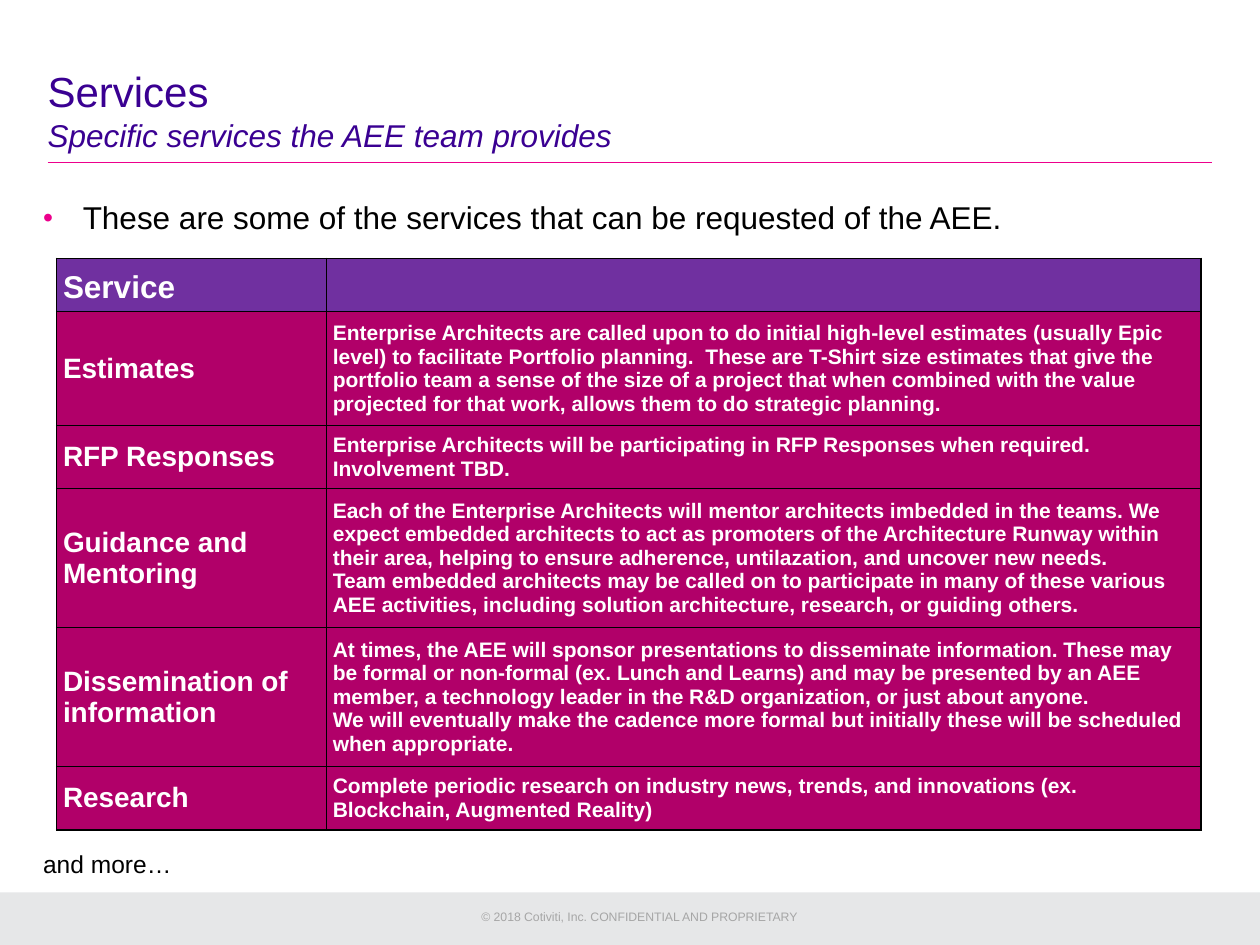
from typing import NamedTuple

from lxml.etree import SubElement
from pptx import Presentation
from pptx.dml.color import RGBColor
from pptx.enum.shapes import MSO_CONNECTOR, MSO_SHAPE
from pptx.enum.text import MSO_ANCHOR, PP_ALIGN
from pptx.oxml.ns import qn
from pptx.util import Cm, Pt

BLACK = RGBColor(0x00, 0x00, 0x00)
WHITE = RGBColor(0xFF, 0xFF, 0xFF)
INDIGO = RGBColor(0x3A, 0x00, 0x92)
PURPLE = RGBColor(0x70, 0x30, 0xA0)
MAGENTA = RGBColor(0xB1, 0x00, 0x69)
PINK = RGBColor(0xEC, 0x00, 0x8C)
LIGHT_GRAY = RGBColor(0xE6, 0xE7, 0xE8)
MID_GRAY = RGBColor(0xA6, 0xA6, 0xA6)
FONT = "Arial"


class Service(NamedTuple):
    """One service row with its height in centimetres."""

    name: str
    details: tuple[str, ...]
    height: float


class Box(NamedTuple):
    """A text box position and size in centimetres."""

    left: float
    top: float
    width: float
    height: float


SERVICES = (
    Service("Estimates", (
        "Enterprise Architects are called upon to do initial high-level estimates (usually Epic "
        "level) to facilitate Portfolio planning.  These are T-Shirt size estimates that give the "
        "portfolio team a sense of the size of a project that when combined with the value "
        "projected for that work, allows them to do strategic planning.",
    ), 2.16),
    Service("RFP Responses", (
        "Enterprise Architects will be participating in RFP Responses when required.  "
        "Involvement TBD.",
    ), 1.2),
    Service("Guidance and Mentoring", (
        "Each of the Enterprise Architects will mentor architects imbedded in the teams. We "
        "expect embedded architects to act as promoters of the Architecture Runway within "
        "their area, helping to ensure adherence, untilazation, and uncover new needs.",
        "Team embedded architects may be called on to participate in many of these various "
        "AEE activities, including solution architecture, research, or guiding others.",
    ), 2.62),
    Service("Dissemination of information", (
        "At times, the AEE will sponsor presentations to disseminate information. These may "
        "be formal or non-formal (ex. Lunch and Learns) and may be presented by an AEE "
        "member, a technology leader in the R&D organization, or just about anyone.",
        "We will eventually make the cadence more formal but initially these will be scheduled "
        "when appropriate.",
    ), 2.62),
    Service("Research", (
        "Complete periodic research on industry news, trends, and innovations (ex. "
        "Blockchain, Augmented Reality)",
    ), 1.2),
)


def add_run(paragraph, text: str, size: float, color: RGBColor,
            bold: bool = False, italic: bool = False) -> None:
    """Append a formatted run to a paragraph."""
    run = paragraph.add_run()
    run.text = text
    font = run.font
    font.name, font.size, font.bold, font.italic = FONT, Pt(size), bold, italic
    font.color.rgb = color


def add_text_box(slide, box: Box, anchor=MSO_ANCHOR.TOP, wrap: bool = True):
    """Add a text box without margins and return its first paragraph."""
    frame = slide.shapes.add_textbox(*map(Cm, box)).text_frame
    frame.margin_left = frame.margin_right = frame.margin_top = frame.margin_bottom = 0
    frame.word_wrap = wrap
    frame.vertical_anchor = anchor
    return frame.paragraphs[0]


def add_bullet(paragraph, indent: Cm) -> None:
    """Give a paragraph a pink hanging bullet."""
    properties = paragraph._p.get_or_add_pPr()
    properties.set("marL", str(indent))
    properties.set("indent", str(-indent))
    color = SubElement(properties, qn("a:buClr"))
    SubElement(color, qn("a:srgbClr"), val=str(PINK))
    SubElement(properties, qn("a:buSzPct"), val="90000")
    SubElement(properties, qn("a:buFont"), typeface=FONT)
    SubElement(properties, qn("a:buChar"), char="•")


def style_cell(cell, fill: RGBColor, anchor) -> None:
    """Set the margins, borders and fill of a cell."""
    cell.margin_left = cell.margin_right = cell.margin_top = cell.margin_bottom = Cm(0.13)
    cell.vertical_anchor = anchor
    properties = cell._tc.get_or_add_tcPr()
    for side in ("a:lnL", "a:lnR", "a:lnT", "a:lnB"):
        line = SubElement(properties, qn(side), w=str(Pt(1)))
        line_fill = SubElement(line, qn("a:solidFill"))
        SubElement(line_fill, qn("a:srgbClr"), val=str(BLACK))
    cell.fill.solid()
    cell.fill.fore_color.rgb = fill


def fill_cell(cell, texts: tuple[str, ...], size: float) -> None:
    """Write one bold white paragraph per text."""
    frame = cell.text_frame
    for index, text in enumerate(texts):
        paragraph = frame.add_paragraph() if index else frame.paragraphs[0]
        add_run(paragraph, text, size, WHITE, bold=True)


def add_service_table(slide) -> None:
    """Add the table of services."""
    heights = [1.07] + [service.height for service in SERVICES]
    widths = (5.44, 17.63)
    table = slide.shapes.add_table(
        len(heights), len(widths), Cm(1.14), Cm(5.21), Cm(sum(widths)), Cm(sum(heights))
    ).table
    table.horz_banding = False
    for column, width in zip(table.columns, widths):
        column.width = Cm(width)
    for row, height in zip(table.rows, heights):
        row.height = Cm(height)
    for cell in table.rows[0].cells:
        style_cell(cell, PURPLE, MSO_ANCHOR.BOTTOM)
    fill_cell(table.cell(0, 0), ("Service",), 18)
    for index, service in enumerate(SERVICES, start=1):
        for cell in table.rows[index].cells:
            style_cell(cell, MAGENTA, MSO_ANCHOR.MIDDLE)
        fill_cell(table.cell(index, 0), (service.name,), 16)
        fill_cell(table.cell(index, 1), service.details, 12)


def add_footer(slide) -> None:
    """Add the footer band and its copyright line."""
    band = slide.shapes.add_shape(MSO_SHAPE.RECTANGLE, 0, Cm(17.99), Cm(25.4), Cm(1.06))
    band.shadow.inherit = False
    band.fill.solid()
    band.fill.fore_color.rgb = LIGHT_GRAY
    band.line.fill.background()
    paragraph = add_text_box(slide, Box(9.37, 18.34, 7.04, 0.3), wrap=False)
    paragraph.alignment = PP_ALIGN.CENTER
    add_run(paragraph, "© 2018 Cotiviti, Inc. CONFIDENTIAL AND PROPRIETARY", 7, MID_GRAY)


def add_heading(slide) -> None:
    """Add the title, subtitle and rule."""
    paragraph = add_text_box(slide, Box(0.96, 0.94, 23.5, 2.16), MSO_ANCHOR.BOTTOM)
    add_run(paragraph, "Services", 24, INDIGO)
    paragraph.add_line_break()
    add_run(paragraph, "Specific services the AEE team provides", 18, INDIGO, italic=True)
    rule = slide.shapes.add_connector(
        MSO_CONNECTOR.STRAIGHT, Cm(0.96), Cm(3.27), Cm(24.44), Cm(3.27)
    )
    rule.line.color.rgb = PINK
    rule.line.width = Pt(0.5)
    SubElement(rule._element.spPr, qn("a:effectLst"))


def main() -> None:
    """Build and save the services slide."""
    presentation = Presentation()
    presentation.slide_width, presentation.slide_height = Cm(25.4), Cm(19.05)
    slide = presentation.slides.add_slide(presentation.slide_layouts[6])
    add_footer(slide)
    add_heading(slide)
    introduction = add_text_box(slide, Box(0.87, 4, 23.5, 0.75))
    add_bullet(introduction, Cm(0.8))
    add_run(introduction, "These are some of the services that can be requested of the AEE.",
            18, BLACK)
    add_service_table(slide)
    closing = add_text_box(slide, Box(0.87, 17.12, 23.5, 0.6))
    add_run(closing, "and more…", 14, BLACK)
    presentation.save("out.pptx")


if __name__ == "__main__":
    main()
